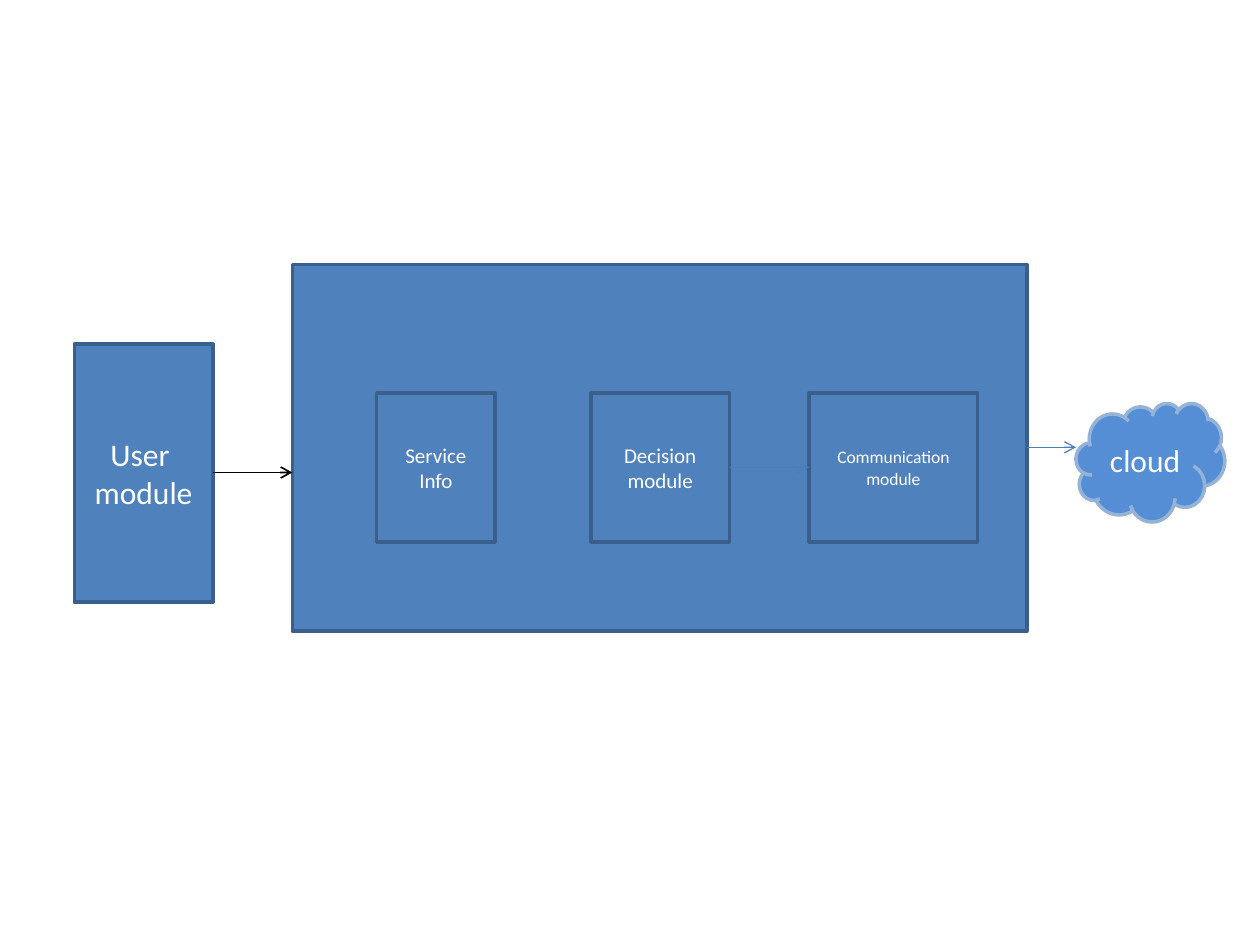
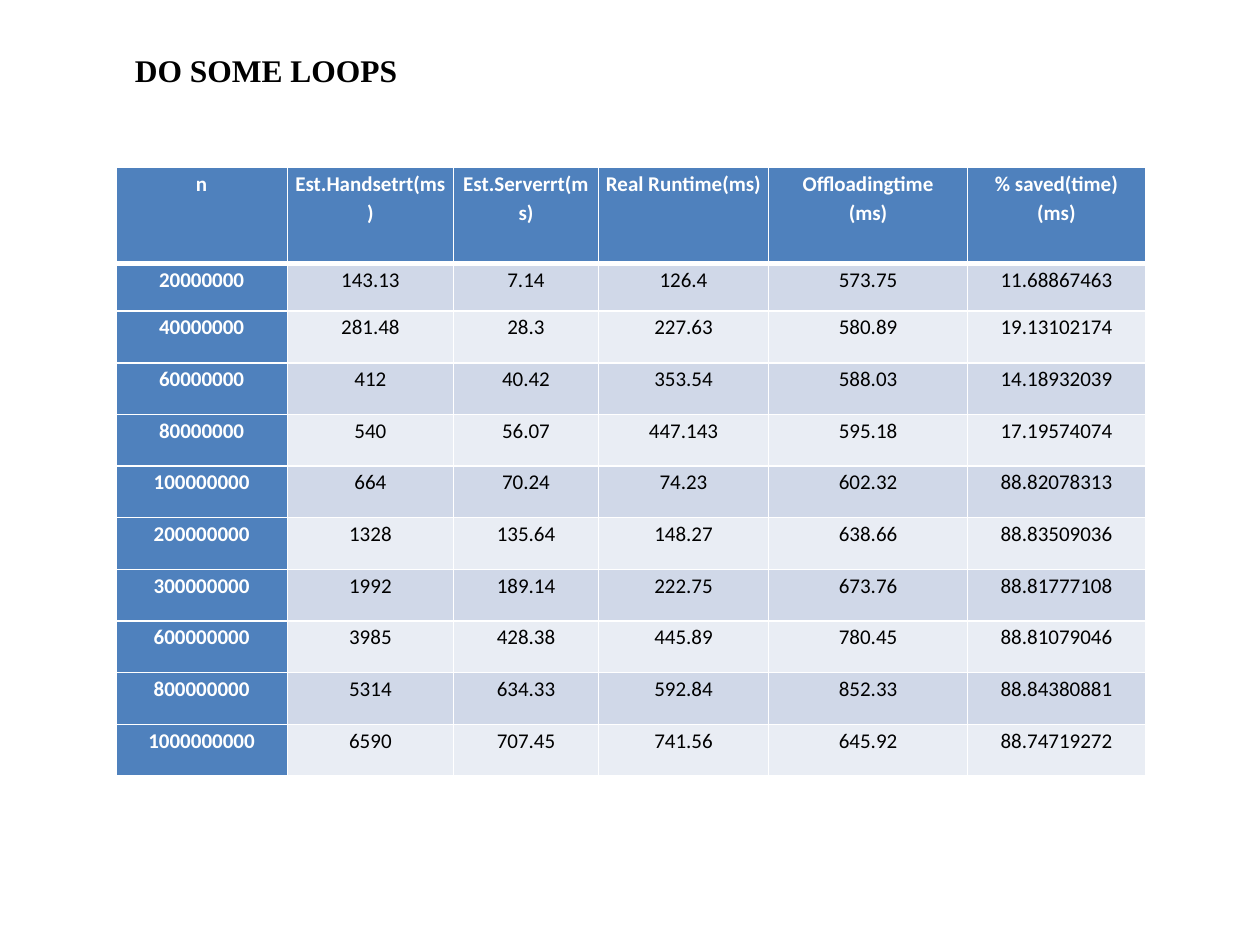
from dataclasses import dataclass

from lxml import etree
from pptx import Presentation
from pptx.dml.color import RGBColor
from pptx.enum.shapes import MSO_CONNECTOR, MSO_SHAPE
from pptx.enum.text import MSO_ANCHOR, MSO_AUTO_SIZE, PP_ALIGN
from pptx.oxml.ns import qn
from pptx.util import Inches, Pt

RECTANGLE, CLOUD = MSO_SHAPE.RECTANGLE, MSO_SHAPE.CLOUD
STRAIGHT = MSO_CONNECTOR.STRAIGHT
CENTER, LEFT = PP_ALIGN.CENTER, PP_ALIGN.LEFT
TOP, MIDDLE = MSO_ANCHOR.TOP, MSO_ANCHOR.MIDDLE
FIT_SHAPE = MSO_AUTO_SIZE.SHAPE_TO_FIT_TEXT


@dataclass(frozen=True)
class Theme:
    body_font: str = "Calibri"
    title_font: str = "Times New Roman"
    large: int = 18
    normal: int = 12
    small: int = 10
    white: str = "FFFFFF"
    black: str = "000000"
    blue: str = "4F81BD"
    outline: str = "3A5F8C"
    arrow: str = "4B7EBC"
    cloud: str = "558ED5"
    cloud_outline: str = "95B3D7"
    odd_row: str = "D0D8E8"
    even_row: str = "E9EDF4"


theme = Theme()


def write_text(frame, text, size, color, font=theme.body_font, bold=False, align=CENTER, spacing=None):
    """Fill a text frame, one paragraph for each line of text."""
    frame.text = text
    for para in frame.paragraphs:
        para.alignment = align
        para.line_spacing = spacing
        for span in para.runs:
            span.font.name = font
            span.font.size = Pt(size)
            span.font.bold = bold
            span.font.color.rgb = RGBColor.from_string(color)


deck = Presentation()
deck.slide_width, deck.slide_height = Inches(10), Inches(7.5)
blank = deck.slide_layouts[6]

# Module diagram
page = deck.slides.add_slide(blank)
inner_top, inner_height = 3.12, 1.18
modules = [
    (RECTANGLE, 2.32, 2.1, 5.83, 2.91, "", theme.large),
    (RECTANGLE, 0.59, 2.73, 1.1, 2.05, "User \nmodule", theme.large),
    (RECTANGLE, 2.99, inner_top, 0.94, inner_height, "Service\nInfo", theme.normal),
    (RECTANGLE, 4.69, inner_top, 1.1, inner_height, "Decision\nmodule", theme.normal),
    (RECTANGLE, 6.42, inner_top, 1.34, inner_height, "Communication\nmodule", theme.small),
    (CLOUD, 8.54, 3.2, 1.18, 0.94, "cloud", theme.large),
]
for kind, left, top, width, height, label, size in modules:
    box = page.shapes.add_shape(kind, Inches(left), Inches(top), Inches(width), Inches(height))
    fill, outline = (theme.cloud, theme.cloud_outline) if kind == CLOUD else (theme.blue, theme.outline)
    box.shadow.inherit = False
    box.fill.solid()
    box.fill.fore_color.rgb = RGBColor.from_string(fill)
    box.line.color.rgb = RGBColor.from_string(outline)
    box.line.width = Pt(2)
    if label:
        box.text_frame.vertical_anchor = MIDDLE
        write_text(box.text_frame, label, size, theme.white)

arrows = [
    (1.69, 2.32, 3.75, theme.black, 1),
    (8.15, 8.54, 3.55, theme.arrow, 0.75),
    (5.79, 6.42, 3.71, theme.arrow, 0.75),
]
for start, end, y, color, width in arrows:
    arrow = page.shapes.add_connector(STRAIGHT, Inches(start), Inches(y), Inches(end), Inches(y))
    arrow.line.color.rgb = RGBColor.from_string(color)
    arrow.line.width = Pt(width)
    etree.SubElement(arrow.line._get_or_add_ln(), qn("a:tailEnd"), type="arrow")
    etree.SubElement(arrow._element.spPr, qn("a:effectLst"))

# Loop timings
page = deck.slides.add_slide(blank)
title = page.shapes.add_textbox(Inches(0.91), Inches(0.36), Inches(2.37), Inches(0.4))
title.text_frame.word_wrap = False
title.text_frame.auto_size = FIT_SHAPE
write_text(title.text_frame, " DO SOME LOOPS", theme.large, theme.black, theme.title_font, True, LEFT)

timings = [
    ("n", "Est.Handsetrt(ms)", "Est.Serverrt(ms)", "Real Runtime(ms)", "Offloadingtime\n(ms)", "% saved(time) (ms)"),
    ("20000000", "143.13", "7.14", "126.4", "573.75", "11.68867463"),
    ("40000000", "281.48", "28.3", "227.63", "580.89", "19.13102174"),
    ("60000000", "412", "40.42", "353.54", "588.03", "14.18932039"),
    ("80000000", "540", "56.07", "447.143", "595.18", "17.19574074"),
    ("100000000", "664", "70.24", "74.23", "602.32", "88.82078313"),
    ("200000000", "1328", "135.64", "148.27", "638.66", "88.83509036"),
    ("300000000", "1992", "189.14", "222.75", "673.76", "88.81777108"),
    ("600000000", "3985", "428.38", "445.89", "780.45", "88.81079046"),
    ("800000000", "5314", "634.33", "592.84", "852.33", "88.84380881"),
    ("1000000000", "6590", "707.45", "741.56", "645.92", "88.74719272"),
]
column_widths = [1.36, 1.32, 1.15, 1.35, 1.58, 1.41]
row_heights = [0.76, 0.38] + [0.41] * 9
table = page.shapes.add_table(
    len(timings), len(column_widths), Inches(0.92), Inches(1.33),
    Inches(sum(column_widths)), Inches(sum(row_heights)),
).table
table.first_col = True
for column, width in zip(table.columns, column_widths):
    column.width = Inches(width)
for row, height in zip(table.rows, row_heights):
    row.height = Inches(height)

for r, values in enumerate(timings):
    for c, value in enumerate(values):
        cell = table.cell(r, c)
        heading = r == 0 or c == 0
        cell.margin_left = cell.margin_right = Inches(0.06)
        cell.margin_top = cell.margin_bottom = 0
        cell.vertical_anchor = TOP
        write_text(cell.text_frame, value, theme.normal, theme.white if heading else theme.black,
                   bold=heading, spacing=1.15)
        properties = cell._tc.get_or_add_tcPr()
        for side in "LRTB":
            under_header = (r, side) in [(0, "B"), (1, "T")]
            border = etree.SubElement(properties, qn(f"a:ln{side}"), w=str(Pt(3 if under_header else 1)))
            paint = etree.SubElement(border, qn("a:solidFill"))
            etree.SubElement(paint, qn("a:srgbClr"), val=theme.white)
        band = theme.odd_row if r % 2 else theme.even_row
        cell.fill.solid()
        cell.fill.fore_color.rgb = RGBColor.from_string(theme.blue if heading else band)

deck.save("out.pptx")
